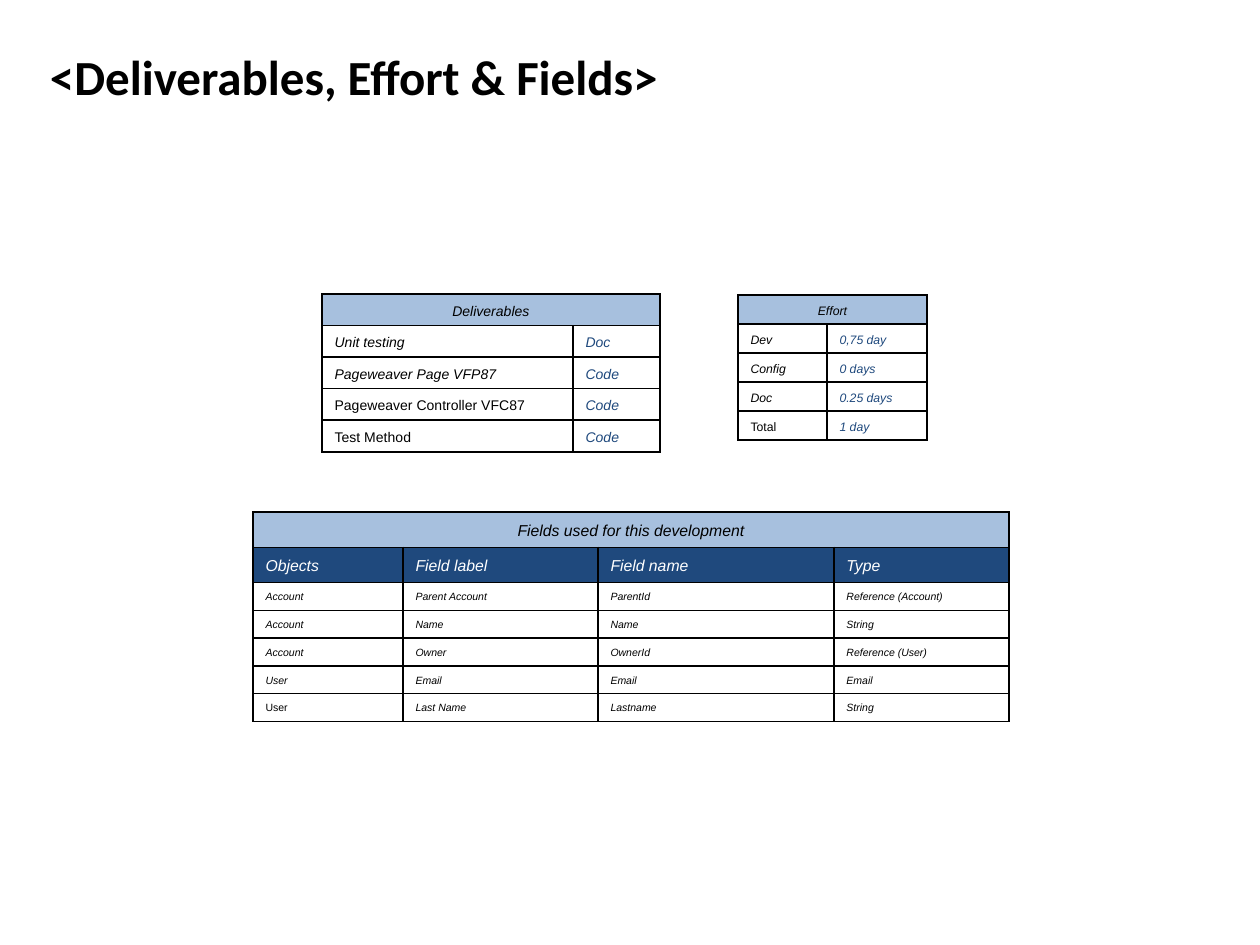
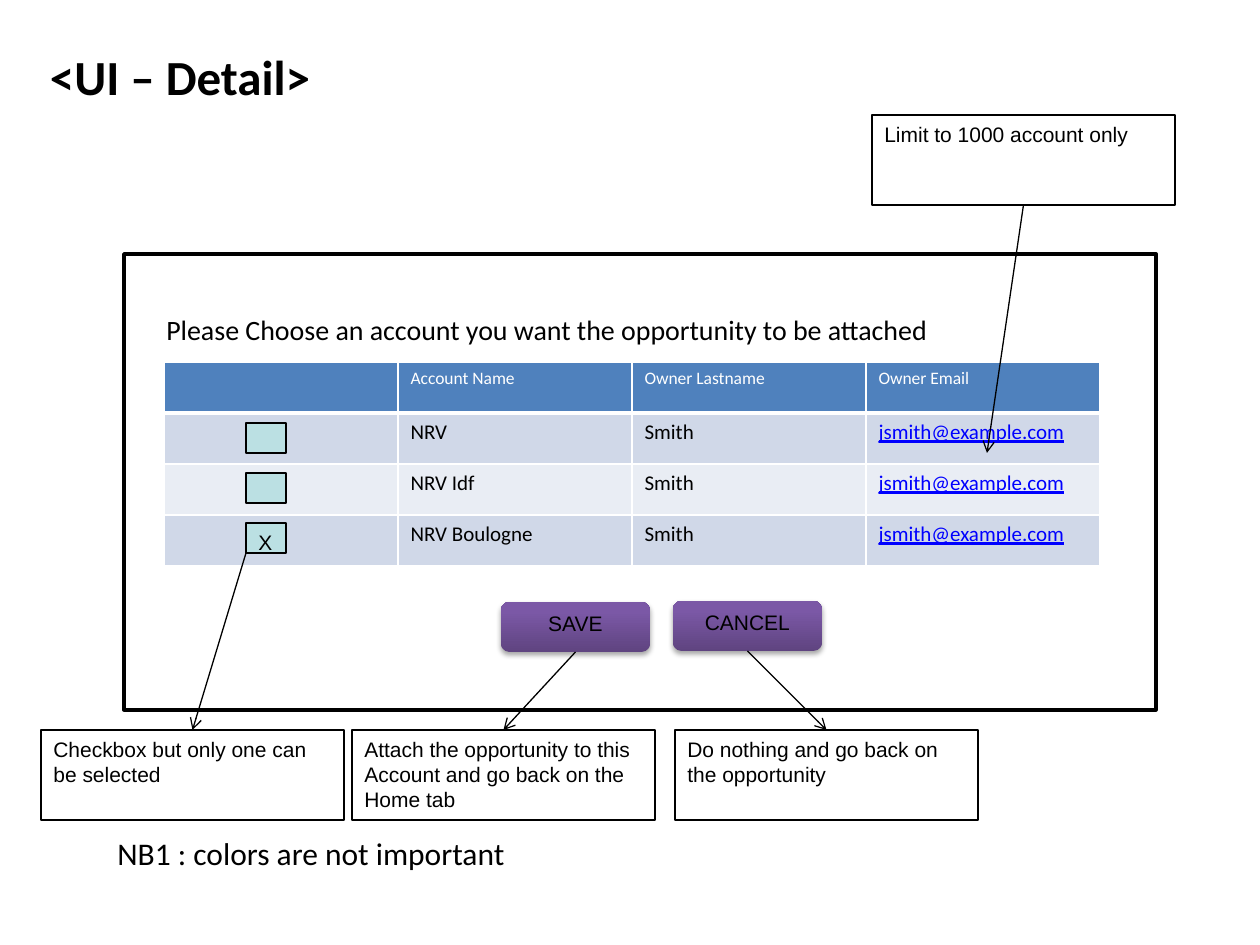
from dataclasses import dataclass
from typing import NamedTuple

from lxml import etree
from pptx import Presentation
from pptx.dml.color import RGBColor
from pptx.enum.shapes import MSO_CONNECTOR, MSO_SHAPE
from pptx.enum.text import MSO_ANCHOR, PP_ALIGN
from pptx.oxml.ns import qn
from pptx.util import Emu, Inches, Pt

STRAIGHT = MSO_CONNECTOR.STRAIGHT
RECTANGLE, ROUNDED = MSO_SHAPE.RECTANGLE, MSO_SHAPE.ROUNDED_RECTANGLE
TOP, MIDDLE = MSO_ANCHOR.TOP, MSO_ANCHOR.MIDDLE
LEFT, CENTER = PP_ALIGN.LEFT, PP_ALIGN.CENTER
SIDE_TOP, SIDE_BOTTOM = 0, 2
EMU_PER_PX = Inches(1) / 126


@dataclass(frozen=True)
class Theme:
    heading: str = "Calibri"
    body: str = "Arial"
    black: str = "000000"
    white: str = "FFFFFF"
    navy: str = "1F497D"
    blue: str = "4F81BD"
    pale_blue: str = "A7C0DE"
    band_dark: str = "D0D8E8"
    band_light: str = "E9EDF4"
    link: str = "0000FF"
    checkbox: str = "BBE0E3"
    button: tuple[tuple[int, str], ...] = ((0, "5F4480"), (80, "7B58A6"), (100, "7C57A8"))
    title_size: int = 28
    remark_size: int = 18
    prompt_size: int = 16
    note_size: int = 12
    header_size: int = 10
    fields_size: int = 9
    deliverables_size: int = 8
    effort_size: int = 7
    field_row_size: int = 6
    thin: float = 0.75
    grid: float = 1
    thick: float = 2
    header_rule: float = 3


THEME = Theme()


class Box(NamedTuple):
    left: int
    top: int
    width: int
    height: int


class TextStyle(NamedTuple):
    size: int
    color: str = THEME.black
    font: str = THEME.body
    bold: bool = False
    italic: bool = False
    underline: bool = False
    align: PP_ALIGN = LEFT
    line_spacing: float = 1.0


class Cell(NamedTuple):
    text: str
    style: TextStyle
    fill: str = THEME.white


@dataclass
class TableSpec:
    left: int
    top: int
    columns: list[int]
    row_heights: list[int]
    cells: list[list[Cell]]
    border: str = THEME.black
    header_rule: float = THEME.grid
    banner: bool = False


NOTE = TextStyle(THEME.note_size)


def px(length: int) -> Emu:
    return Emu(round(length * EMU_PER_PX))


def place(box: Box) -> list[Emu]:
    return [px(length) for length in box]


def rgb(color: str) -> RGBColor:
    return RGBColor.from_string(color)


def add_node(parent, tag: str, **attributes: object):
    return etree.SubElement(parent, qn(tag), {key: str(value) for key, value in attributes.items()})


def write(text_frame, text: str, style: TextStyle) -> None:
    paragraph = text_frame.paragraphs[0]
    paragraph.text = text
    paragraph.alignment = style.align
    paragraph.line_spacing = style.line_spacing
    font = paragraph.font
    font.name, font.size, font.color.rgb = style.font, Pt(style.size), rgb(style.color)
    font.bold, font.italic, font.underline = style.bold, style.italic, style.underline


def add_text(slide, box: Box, text: str, style: TextStyle):
    shape = slide.shapes.add_textbox(*place(box))
    shape.text_frame.word_wrap = True
    write(shape.text_frame, text, style)
    return shape


def add_title(slide, text: str) -> None:
    title = add_text(slide, Box(42, 0, 1134, 151), text,
                     TextStyle(THEME.title_size, font=THEME.heading, bold=True))
    frame = title.text_frame
    frame.vertical_anchor = MIDDLE
    frame.margin_left = frame.margin_top = frame.margin_bottom = px(8)


def add_box(slide, box: Box, fill: str, line_width: float = THEME.thin, text: str = ""):
    shape = slide.shapes.add_shape(RECTANGLE, *place(box))
    shape.shadow.inherit = False
    shape.fill.solid()
    shape.fill.fore_color.rgb = rgb(fill)
    shape.line.color.rgb = rgb(THEME.black)
    shape.line.width = Pt(line_width)
    shape.text_frame.vertical_anchor = TOP
    if text:
        write(shape.text_frame, text, NOTE)
    return shape


def add_button(slide, left: int, top: int, caption: str):
    """Draw a rounded button with a vertical gradient and a soft drop shadow."""
    button = slide.shapes.add_shape(ROUNDED, *place(Box(left, top, 149, 50)))
    button.line.fill.background()
    button.fill.gradient()
    button.fill.gradient_angle = 90
    properties = button._element.spPr
    stops = properties.find(".//" + qn("a:gsLst"))
    for stop in list(stops):
        stops.remove(stop)
    for position, color in THEME.button:
        add_node(add_node(stops, "a:gs", pos=position * 1000), "a:srgbClr", val=color)
    button.shadow.inherit = False
    shadow = add_node(properties.find(qn("a:effectLst")), "a:outerShdw", blurRad=Pt(3.1),
                      dist=Pt(1.8), dir=5400000, rotWithShape=0)
    add_node(add_node(shadow, "a:srgbClr", val=THEME.black), "a:alpha", val=35000)
    button.text_frame.vertical_anchor = TOP
    write(button.text_frame, caption, NOTE._replace(align=CENTER))
    return button


def add_arrow(slide, start: tuple[int, int] = (0, 0), end: tuple[int, int] = (0, 0),
              source=None, target=None) -> None:
    """Draw an arrow; a source leaves from its bottom, a target is met at its top."""
    arrow = slide.shapes.add_connector(STRAIGHT, *(px(value) for value in start + end))
    if source is not None:
        arrow.begin_connect(source, SIDE_BOTTOM)
    if target is not None:
        arrow.end_connect(target, SIDE_TOP)
    arrow.line.color.rgb = rgb(THEME.black)
    arrow.line.width = Pt(THEME.thin)
    properties = arrow._element.spPr
    add_node(properties.find(qn("a:ln")), "a:tailEnd", type="arrow")
    add_node(properties, "a:effectLst")


def set_borders(cell, color: str, bottom: float) -> None:
    properties = cell._tc.get_or_add_tcPr()
    widths = {"a:lnL": THEME.grid, "a:lnR": THEME.grid, "a:lnT": THEME.grid, "a:lnB": bottom}
    for tag, width in widths.items():
        line = add_node(properties, tag, w=Pt(width))
        add_node(add_node(line, "a:solidFill"), "a:srgbClr", val=color)


def add_grid(slide, spec: TableSpec) -> None:
    box = Box(spec.left, spec.top, sum(spec.columns), sum(spec.row_heights))
    table = slide.shapes.add_table(len(spec.row_heights), len(spec.columns), *place(box)).table
    table.first_row = table.horz_banding = False
    for column, width in zip(table.columns, spec.columns):
        column.width = px(width)
    for row, height in zip(table.rows, spec.row_heights):
        row.height = px(height)
    for row_index, row in enumerate(spec.cells):
        for column_index, content in enumerate(row):
            cell = table.cell(row_index, column_index)
            set_borders(cell, spec.border, THEME.grid if row_index else spec.header_rule)
            cell.fill.solid()
            cell.fill.fore_color.rgb = rgb(content.fill)
            write(cell.text_frame, content.text, content.style)
    if spec.banner:
        table.cell(0, 0).merge(table.cell(0, len(spec.columns) - 1))


def banner_row(text: str, style: TextStyle, count: int) -> list[Cell]:
    """Return a heading cell and the empty cells that it will span."""
    return [Cell(label, style._replace(align=CENTER), THEME.pale_blue)
            for label in [text] + [""] * (count - 1)]


def summary_table(left: int, top: int, columns: list[int], row_height: int, size: int,
                  heading: str, entries: list[tuple[str, str]], upright: set[str]) -> TableSpec:
    style = TextStyle(size, italic=True, line_spacing=1.2)
    rows = [[Cell(name, style._replace(italic=name not in upright)),
             Cell(value, style._replace(color=THEME.navy))] for name, value in entries]
    return TableSpec(left, top, columns, [row_height] * (len(rows) + 1),
                     [banner_row(heading, style, 2)] + rows, banner=True)


def fields_table() -> TableSpec:
    style = TextStyle(THEME.fields_size, italic=True, line_spacing=1.2)
    row_style = style._replace(size=THEME.field_row_size)
    header = ["Objects", "Field label", "Field name", "Type"]
    fields = [
        ["Account", "Parent Account", "ParentId", "Reference (Account)"],
        ["Account", "Name", "Name", "String"],
        ["Account", "Owner", "OwnerId", "Reference (User)"],
        ["User", "Email", "Email", "Email"],
        ["User", "Last Name", "Lastname", "String"],
    ]
    cells = [banner_row("Fields used for this development", style, len(header)),
             [Cell(text, style._replace(color=THEME.white), THEME.navy) for text in header]]
    cells += [[Cell(text, row_style) for text in field] for field in fields]
    cells[-1][0] = Cell("User", row_style._replace(italic=False))
    return TableSpec(253, 512, [150, 195, 236, 175], [35, 34] + [26] * len(fields), cells,
                     banner=True)


def accounts_table() -> TableSpec:
    header_style = TextStyle(THEME.header_size, THEME.white, THEME.heading)
    style = TextStyle(THEME.note_size, font=THEME.heading)
    link_style = style._replace(color=THEME.link, underline=True)
    header = ["", "Account Name", "Owner Lastname", "Owner Email"]
    cells = [[Cell(text, header_style, THEME.blue) for text in header]]
    for index, account in enumerate(["NRV", "NRV Idf", "NRV Boulogne"]):
        band = THEME.band_light if index % 2 else THEME.band_dark
        cells.append([Cell(text, style, band) for text in ("", account, "Smith")]
                     + [Cell("jsmith@example.com", link_style, band)])
    return TableSpec(164, 362, [234] * 4, [51] * 4, cells, THEME.white, THEME.header_rule)


def build_deliverables(slide) -> None:
    add_grid(slide, summary_table(
        738, 295, [89, 100], 29, THEME.effort_size, "Effort",
        [("Dev", "0,75 day"), ("Config", "0 days"), ("Doc", "0.25 days"), ("Total", "1 day")],
        {"Total"}))
    add_grid(slide, summary_table(
        322, 294, [251, 87], 31, THEME.deliverables_size, "Deliverables",
        [("Unit testing", "Doc"), ("Pageweaver Page VFP87", "Code"),
         ("Pageweaver Controller VFC87", "Code"), ("Test Method", "Code")],
        {"Pageweaver Controller VFC87", "Test Method"}))
    add_title(slide, "<Deliverables, Effort & Fields>")
    add_grid(slide, fields_table())


def build_detail(slide) -> None:
    add_box(slide, Box(124, 254, 1032, 456), THEME.white, THEME.thick)
    add_title(slide, "<UI – Detail>")
    add_grid(slide, accounts_table())
    for index, mark in enumerate(["", "", "X"]):
        add_box(slide, Box(246, 423 + 50 * index, 40, 30), THEME.checkbox, text=mark)
    add_text(slide, Box(105, 828, 546, 50), "NB1 : colors are not important",
             TextStyle(THEME.remark_size, font=THEME.heading))
    add_text(slide, Box(154, 306, 942, 47),
             "Please Choose an account you want the opportunity to be attached",
             TextStyle(THEME.prompt_size, font=THEME.heading))
    save = add_button(slide, 501, 602, "SAVE")
    cancel = add_button(slide, 673, 601, "CANCEL")
    checkbox_note, save_note, cancel_note, limit_note = [
        add_box(slide, Box(left, top, 303, 90), THEME.white, text=text)
        for left, top, text in [
            (41, 730, "Checkbox but only one can be selected"),
            (352, 730, "Attach the opportunity to this Account and go back on the Home tab"),
            (675, 730, "Do nothing and go back on the opportunity"),
            (872, 115, "Limit to 1000 account only"),
        ]
    ]
    add_arrow(slide, source=save, target=save_note)
    add_arrow(slide, source=cancel, target=cancel_note)
    add_arrow(slide, start=(246, 553), target=checkbox_note)
    add_arrow(slide, end=(987, 453), source=limit_note)


def main() -> None:
    presentation = Presentation()
    presentation.slide_width, presentation.slide_height = px(1260), px(945)
    blank = presentation.slide_layouts[6]
    for build in (build_deliverables, build_detail):
        build(presentation.slides.add_slide(blank))
    presentation.save("out.pptx")


if __name__ == "__main__":
    main()
